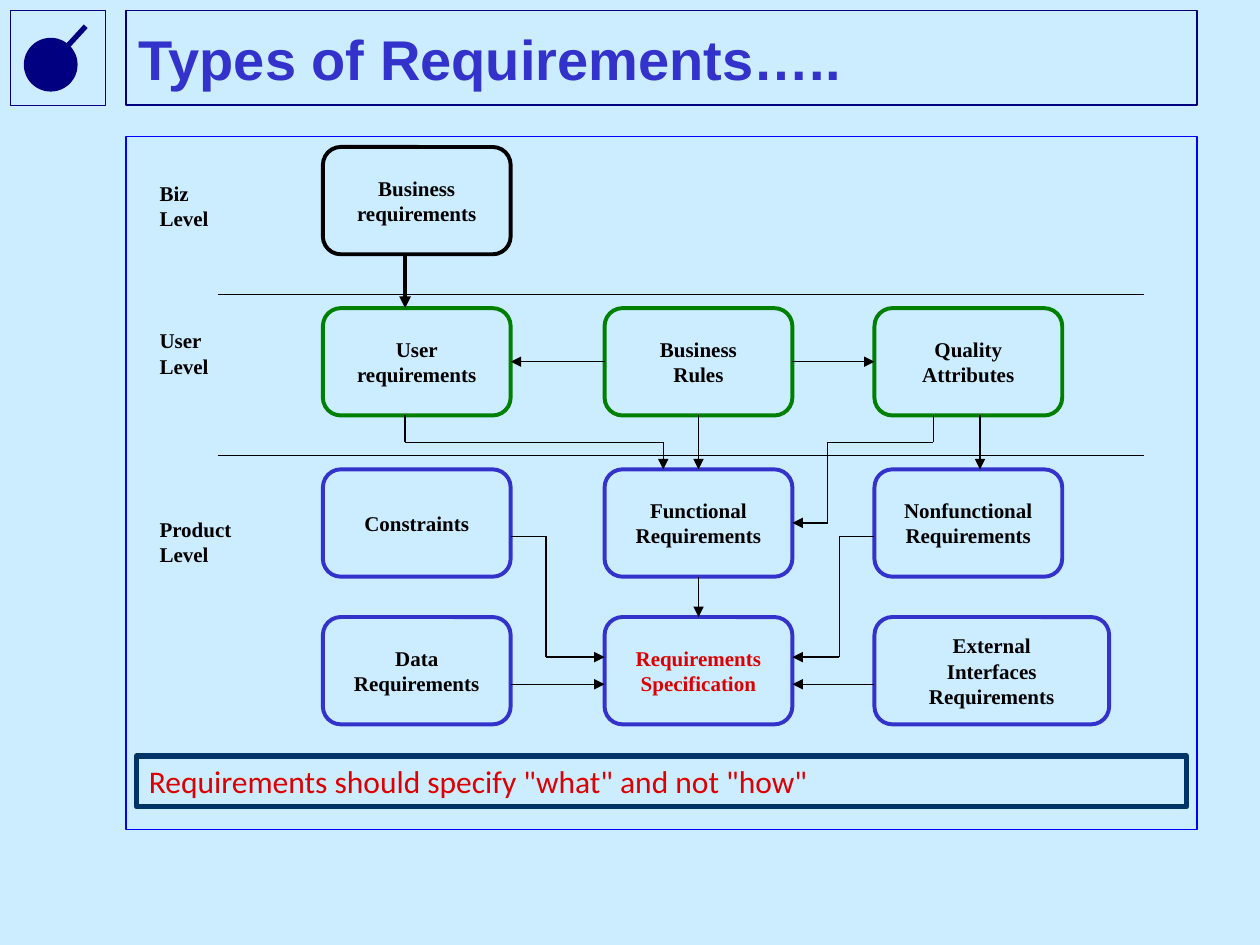
"""Build the slide showing how the types of requirements relate."""
from dataclasses import dataclass
from itertools import pairwise

from lxml.etree import SubElement
from pptx import Presentation
from pptx.dml.color import RGBColor
from pptx.enum.shapes import MSO_CONNECTOR, MSO_SHAPE
from pptx.enum.text import MSO_ANCHOR, PP_ALIGN
from pptx.oxml.ns import qn
from pptx.shapes.autoshape import Shape
from pptx.slide import Slide
from pptx.text.text import TextFrame
from pptx.util import Pt

BACKGROUND = RGBColor(0xCC, 0xEC, 0xFF)
BLACK = RGBColor(0, 0, 0)
NAVY = RGBColor(0, 0, 0x80)
BLUE = RGBColor(0, 0, 0xFF)
INDIGO = RGBColor(0x33, 0x33, 0xCC)
GREEN = RGBColor(0, 0x80, 0)
RED = RGBColor(0xDC, 0, 0)
STEEL = RGBColor(0, 0x33, 0x66)

BOX_WIDTH, BOX_HEIGHT = 107.3, 61.3
WIDE_BOX = 134.1
LEFT, MIDDLE, RIGHT = 184.5, 345.5, 499.7
BIZ, USER, PRODUCT = (84 + 92.1 * level for level in range(3))
OUTPUT = 352.6
LEFT_EDGE, MIDDLE_EDGE = LEFT + BOX_WIDTH, MIDDLE + BOX_WIDTH
USER_EDGE = USER + BOX_HEIGHT
USER_X, MIDDLE_X = 231.5, MIDDLE + BOX_WIDTH / 2
BEND_Y, BRANCH_Y, UPPER_Y, LOWER_Y = 252.8, 306.5, 375.5, 391


@dataclass(frozen=True)
class Style:
    size: float
    font: str
    color: RGBColor
    bold: bool = True


@dataclass(frozen=True)
class Node:
    left: float
    top: float
    lines: tuple[str, ...]
    line_color: RGBColor
    width: float = BOX_WIDTH
    text_color: RGBColor = BLACK


@dataclass(frozen=True)
class Label:
    top: float
    width: float
    lines: tuple[str, ...]


@dataclass(frozen=True)
class Route:
    points: tuple[tuple[float, float], ...]
    weight: float = 0.75
    arrow: bool = True
    color: RGBColor = BLACK


NODES = (
    Node(LEFT, BIZ, ("Business", "requirements"), BLACK),
    Node(LEFT, USER, ("User", "requirements"), GREEN),
    Node(MIDDLE, USER, ("Business", "Rules"), GREEN),
    Node(RIGHT, USER, ("Quality", "Attributes"), GREEN),
    Node(LEFT, PRODUCT, ("Constraints",), INDIGO),
    Node(LEFT, OUTPUT, ("Data", "Requirements"), INDIGO),
    Node(MIDDLE, PRODUCT, ("Functional", "Requirements"), INDIGO),
    Node(RIGHT, PRODUCT, ("Nonfunctional", "Requirements"), INDIGO),
    Node(RIGHT, OUTPUT, ("External", "Interfaces", "Requirements"), INDIGO, WIDE_BOX),
    Node(MIDDLE, OUTPUT, ("Requirements", "Specification"), INDIGO, text_color=RED),
)
LABELS = (
    Label(99.7, 42.5, ("Biz", "Level")),
    Label(183.9, 42.5, ("User", "Level")),
    Label(291.5, 55.4, ("Product", "Level")),
)
FUSE = Route(((38, 27), (49, 15)), 3, False, NAVY)
ROUTES = (
    Route(((124.3, 168.4), (653.8, 168.4)), arrow=False),
    Route(((124.3, 260.4), (653.8, 260.4)), arrow=False),
    Route(((USER_X, BIZ + BOX_HEIGHT), (USER_X, USER)), 2.25),
    Route(((MIDDLE, 206.7), (LEFT_EDGE, 206.7))),
    Route(((MIDDLE_EDGE, 206.7), (RIGHT, 206.7))),
    Route(((USER_X, USER_EDGE), (USER_X, BEND_Y), (379, BEND_Y), (379, PRODUCT))),
    Route(((MIDDLE_X, USER_EDGE), (MIDDLE_X, PRODUCT))),
    Route(((560, USER_EDGE), (560, PRODUCT))),
    Route(((533.3, USER_EDGE), (533.3, BEND_Y), (473, BEND_Y), (473, 298.8),
           (MIDDLE_EDGE, 298.8))),
    Route(((LEFT_EDGE, LOWER_Y), (MIDDLE, LOWER_Y))),
    Route(((MIDDLE_X, PRODUCT + BOX_HEIGHT), (MIDDLE_X, OUTPUT))),
    Route(((RIGHT, LOWER_Y), (MIDDLE_EDGE, LOWER_Y))),
    Route(((LEFT_EDGE, BRANCH_Y), (312, BRANCH_Y), (312, UPPER_Y), (MIDDLE, UPPER_Y))),
    Route(((RIGHT, BRANCH_Y), (479.6, BRANCH_Y), (479.6, UPPER_Y),
           (MIDDLE_EDGE, UPPER_Y))),
)


def write_lines(frame: TextFrame, lines: tuple[str, ...], style: Style,
                align: PP_ALIGN = PP_ALIGN.LEFT, wrap: bool = False,
                anchor: MSO_ANCHOR = MSO_ANCHOR.TOP) -> None:
    """Fill a text frame with one styled paragraph per line."""
    frame.word_wrap = wrap
    frame.vertical_anchor = anchor
    for index, line in enumerate(lines):
        para = frame.add_paragraph() if index else frame.paragraphs[0]
        para.alignment = align
        span = para.add_run()
        span.text = line
        span.font.size = Pt(style.size)
        span.font.name = style.font
        span.font.bold = style.bold
        span.font.color.rgb = style.color


def draw_frame(page: Slide, bounds: tuple[float, ...], color: RGBColor, weight: float,
               kind: MSO_SHAPE = MSO_SHAPE.RECTANGLE) -> Shape:
    """Draw an unfilled outlined shape."""
    box = page.shapes.add_shape(kind, *map(Pt, bounds))
    box.shadow.inherit = False
    box.fill.background()
    box.line.color.rgb = color
    box.line.width = Pt(weight)
    return box


def draw_node(page: Slide, node: Node) -> None:
    """Draw one requirement box."""
    bounds = (node.left, node.top, node.width, BOX_HEIGHT)
    box = draw_frame(page, bounds, node.line_color, 2.25, MSO_SHAPE.ROUNDED_RECTANGLE)
    write_lines(box.text_frame, node.lines, Style(12, "Times New Roman", node.text_color),
                PP_ALIGN.CENTER, anchor=MSO_ANCHOR.MIDDLE)


def draw_label(page: Slide, label: Label) -> None:
    """Draw one level name."""
    box = page.shapes.add_textbox(Pt(84.1), Pt(label.top), Pt(label.width), Pt(36))
    write_lines(box.text_frame, label.lines, Style(12, "Times New Roman", BLACK))


def draw_route(page: Slide, route: Route) -> None:
    """Draw straight segments through the points, with an arrowhead on the last."""
    for start, end in pairwise(route.points):
        line = page.shapes.add_connector(MSO_CONNECTOR.STRAIGHT, *map(Pt, start + end))
        line.line.color.rgb = route.color
        line.line.width = Pt(route.weight)
        if route.arrow and end == route.points[-1]:
            SubElement(line.line._get_or_add_ln(), qn("a:tailEnd"), type="triangle")
        SubElement(line._element.spPr, qn("a:effectLst"))


def draw_emblem(page: Slide) -> None:
    """Draw the framed bomb as a filled circle with a fuse."""
    body = draw_frame(page, (14, 22, 30, 30), NAVY, 0.75, MSO_SHAPE.OVAL)
    body.fill.solid()
    body.fill.fore_color.rgb = NAVY
    draw_route(page, FUSE)
    draw_frame(page, (6, 6, 54, 54), NAVY, 0.25)


def main() -> None:
    """Assemble and save the deck."""
    deck = Presentation()
    deck.slide_width, deck.slide_height = Pt(720), Pt(540)
    page = deck.slides.add_slide(deck.slide_layouts[5])
    page.background.fill.solid()
    page.background.fill.fore_color.rgb = BACKGROUND

    draw_emblem(page)
    draw_frame(page, (72, 6, 612, 54), NAVY, 0.75)
    draw_frame(page, (72, 78, 612, 396), BLUE, 0.75)

    title = page.shapes.title
    title.left, title.top, title.width, title.height = map(Pt, (72, 6, 612, 54))
    write_lines(title.text_frame, ("Types of Requirements…..",),
                Style(32, "Arial", INDIGO), wrap=True, anchor=MSO_ANCHOR.MIDDLE)

    for node in NODES:
        draw_node(page, node)
    for label in LABELS:
        draw_label(page, label)
    for route in ROUTES:
        draw_route(page, route)

    note = draw_frame(page, (78, 432, 600, 29), STEEL, 3)
    write_lines(note.text_frame, ('Requirements should specify "what" and not "how"',),
                Style(18, "Calibri", RED, False), wrap=True)
    deck.save("out.pptx")


if __name__ == "__main__":
    main()
